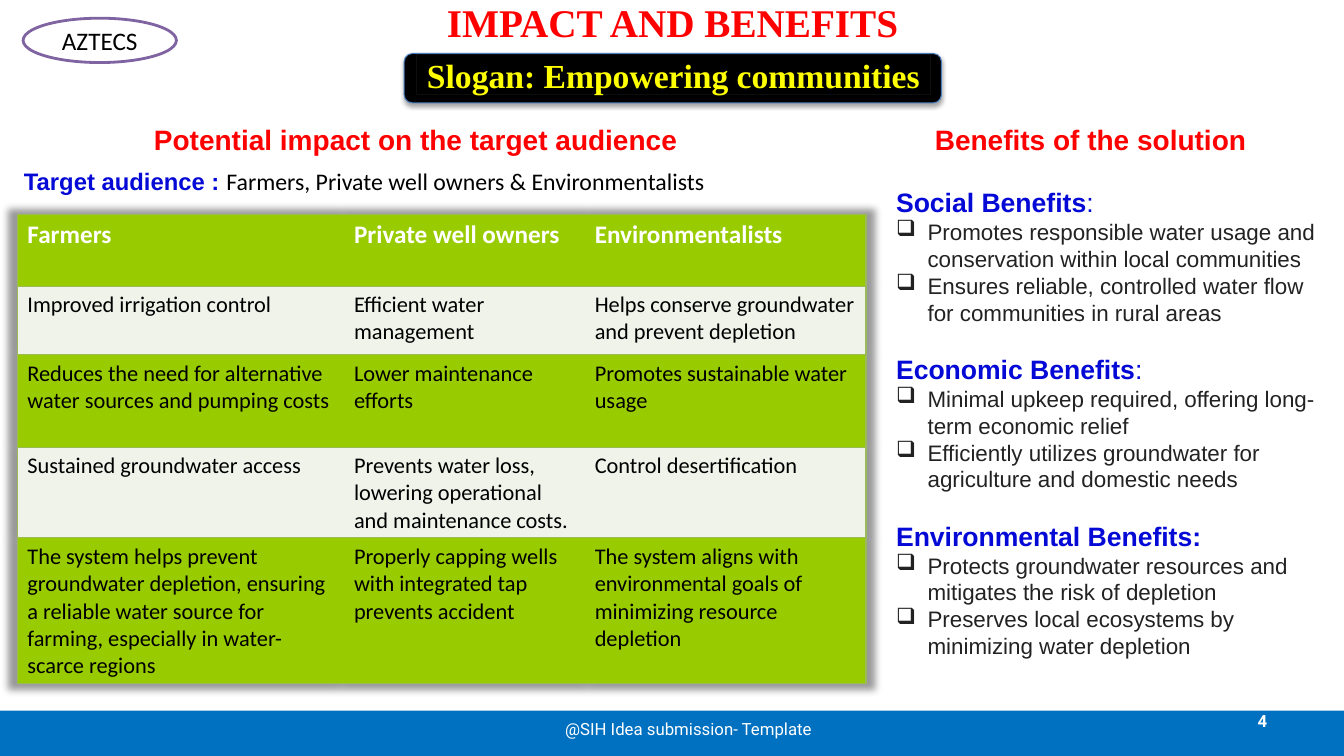
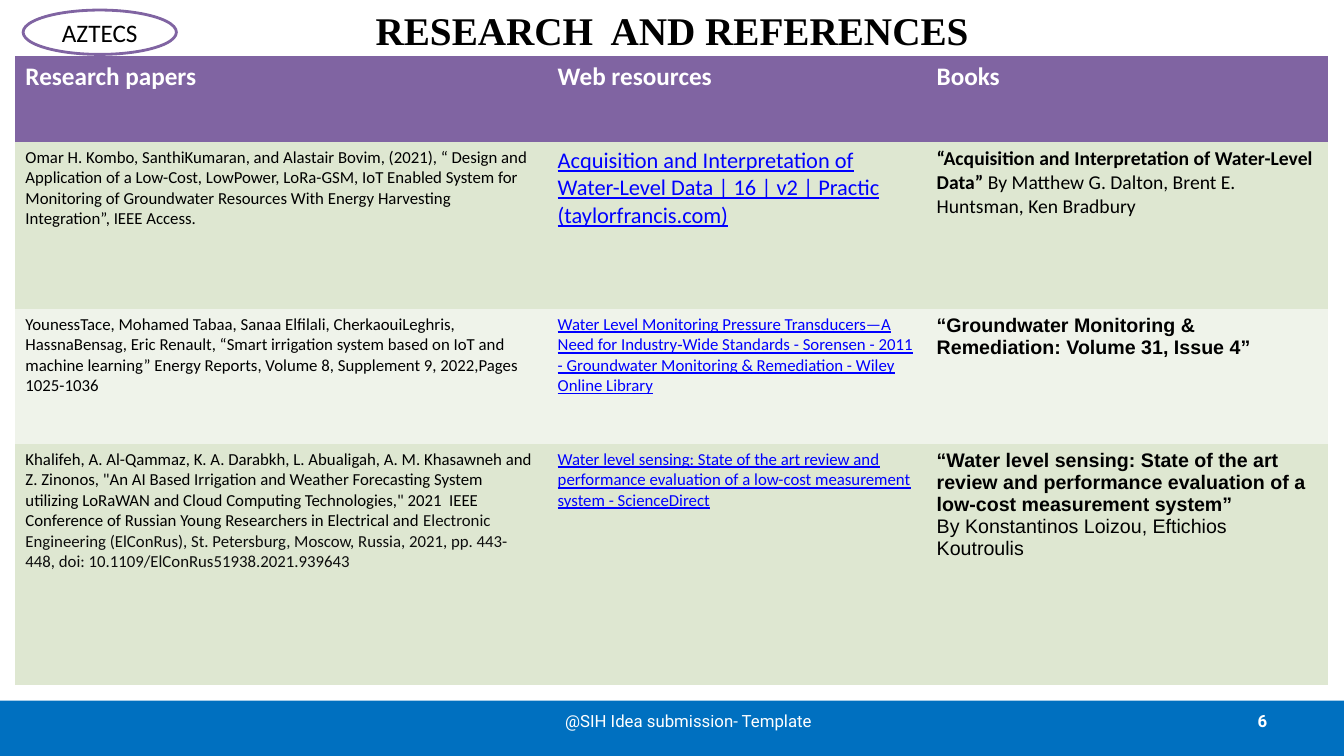
from lxml import etree
from pptx import Presentation
from pptx.dml.color import RGBColor
from pptx.enum import shapes, text
from pptx.oxml.ns import qn
from pptx.util import Pt

BLACK = RGBColor(0x00, 0x00, 0x00)
WHITE = RGBColor(0xFF, 0xFF, 0xFF)
RED = RGBColor(0xFF, 0x00, 0x00)
YELLOW = RGBColor(0xFF, 0xFF, 0x00)
BAND_BLUE = RGBColor(0x00, 0x70, 0xC0)
LABEL_BLUE = RGBColor(0x04, 0x09, 0xD6)
LINK_BLUE = RGBColor(0x00, 0x00, 0xFF)
EDGE_BLUE = RGBColor(0x4B, 0x7E, 0xBC)
PURPLE = RGBColor(0x80, 0x64, 0xA2)
LIME = RGBColor(0x99, 0xCC, 0x00)
GRID_GREEN = RGBColor(0x9B, 0xBB, 0x59)
SAGE = RGBColor(0xDE, 0xE7, 0xD1)
PALE = RGBColor(0xEF, 0xF3, 0xEA)
DARK = RGBColor(0x22, 0x22, 0x22)
INK = RGBColor(0x0D, 0x0D, 0x0D)
GREY = RGBColor(0x80, 0x80, 0x80)
NO_GRID_STYLE = "{2D5ABB26-0587-4C30-8999-92F81FD0307C}"
SLIDE_WIDTH = 960


def write(para, words, size, color, font="Calibri", bold=False, align=None):
    """Set the paragraph's font and add its first run."""
    para.alignment = align
    para.font.size = Pt(size)
    para.font.name = font
    para.font.bold = bold
    para.font.color.rgb = color
    span = para.add_run()
    span.text = words
    return span


def add_shadow(effects, color, blur, distance, opacity, scale=100):
    """Put an outer shadow, falling downwards, into an effect list."""
    shadow = etree.SubElement(
        effects, qn("a:outerShdw"), blurRad=str(Pt(blur)), dist=str(Pt(distance)),
        dir="5400000", sx=str(scale * 1000), sy=str(scale * 1000),
        algn="ctr", rotWithShape="0")
    tint = etree.SubElement(shadow, qn("a:srgbClr"), val=str(color))
    etree.SubElement(tint, qn("a:alpha"), val=str(opacity * 1000))


deck = Presentation()
deck.slide_width, deck.slide_height = Pt(SLIDE_WIDTH), Pt(540)
center, right = text.PP_ALIGN.CENTER, text.PP_ALIGN.RIGHT
middle = text.MSO_ANCHOR.MIDDLE

# Shared frame: title, footer band, footer text, page number, team badge
frames = [
    ("IMPACT AND BENEFITS", RED, (297.4, -4.3, 365.8, 40.3), "4", 507.6, 506.2, 13),
    ("RESEARCH  AND REFERENCES", BLACK, (48, -3.6, 864, 49.7), "6", 500.4, 500.4, 7.2),
]
pages = []
for title, color, place, number, band_top, footer_top, badge_top in frames:
    page = deck.slides.add_slide(deck.slide_layouts[5])
    pages.append(page)

    band = page.shapes.add_shape(shapes.MSO_SHAPE.RECTANGLE, 0, Pt(band_top),
                                 Pt(SLIDE_WIDTH), Pt(540 - band_top))
    band.shadow.inherit = False
    add_shadow(band._element.spPr.find(qn("a:effectLst")), GREY, 0, 1.8, 35)
    band.fill.solid()
    band.fill.fore_color.rgb = BAND_BLUE
    band.line.fill.background()

    heading = page.shapes.title
    heading.left, heading.top, heading.width, heading.height = map(Pt, place)
    heading.text_frame.auto_size = text.MSO_AUTO_SIZE.NONE
    heading.text_frame.vertical_anchor = middle
    write(heading.text_frame.paragraphs[0], title, 28, color,
          "Times New Roman", True, center)

    for words, left, top, width, bold, align in [
            (number, 688.3, 500.4, 224, True, right),
            ("@SIH Idea submission- Template", 365.8, footer_top, 252, False, center)]:
        box = page.shapes.add_textbox(Pt(left), Pt(top), Pt(width), Pt(28.8))
        box.text_frame.word_wrap = True
        box.text_frame.vertical_anchor = middle
        write(box.text_frame.paragraphs[0], words, 12, WHITE, "Roboto", bold, align)

    badge = page.shapes.add_shape(shapes.MSO_SHAPE.OVAL, Pt(16.5), Pt(badge_top),
                                  Pt(109.5), Pt(31.7))
    badge.shadow.inherit = False
    badge.fill.solid()
    badge.fill.fore_color.rgb = WHITE
    badge.line.color.rgb = PURPLE
    badge.line.width = Pt(2)
    badge.text_frame.word_wrap = False
    write(badge.text_frame.paragraphs[0], "AZTECS", 18, BLACK, align=center)

impact_page, reference_page = pages

# Slogan: rounded plate with a label on it
plate = impact_page.shapes.add_shape(shapes.MSO_SHAPE.ROUNDED_RECTANGLE,
                                     Pt(288.7), Pt(38.2), Pt(383.8), Pt(35.3))
slogan = impact_page.shapes.add_shape(shapes.MSO_SHAPE.RECTANGLE,
                                      Pt(297.4), Pt(38.9), Pt(367.2), Pt(28.8))
for shape, edge in [(plate, EDGE_BLUE), (slogan, INK)]:
    shape.shadow.inherit = False
    shape.fill.solid()
    shape.fill.fore_color.rgb = BLACK
    shape.line.color.rgb = edge
    shape.line.width = Pt(0.75)
add_shadow(plate._element.spPr.find(qn("a:effectLst")), BLACK, 3.1, 1.8, 35)
slogan.text_frame.margin_top = slogan.text_frame.margin_bottom = 0
slogan.text_frame.vertical_anchor = text.MSO_ANCHOR.TOP
slogan.text_frame.word_wrap = False
write(slogan.text_frame.paragraphs[0], "Slogan: Empowering communities", 24, YELLOW,
      "Times New Roman", True, center)

# Section headings and target audience
for words, left, width in [("Potential impact on the target audience", 101.5, 391),
                           ("Benefits of the solution", 611.3, 335.5)]:
    box = impact_page.shapes.add_textbox(Pt(left), Pt(84.2), Pt(width), Pt(31.7))
    box.text_frame.word_wrap = True
    write(box.text_frame.paragraphs[0], words, 20, RED, "Arial", True, center)

audience = impact_page.shapes.add_textbox(Pt(10), Pt(115.2), Pt(573), Pt(28))
audience.text_frame.word_wrap = True
para = audience.text_frame.paragraphs[0]
write(para, "Target audience : ", 17, LABEL_BLUE, "Arial", True)
span = para.add_run()
span.text = "Farmers, Private well owners & Environmentalists"
span.font.name, span.font.bold, span.font.color.rgb = "Calibri", False, BLACK

# Benefits, grouped under three labels
benefits = [
    ("Social Benefits", False, [
        "Promotes responsible water usage and conservation within local communities",
        "Ensures reliable, controlled water flow for communities in rural areas"]),
    ("Economic Benefits", False, [
        "Minimal upkeep required, offering long-term economic relief",
        "Efficiently utilizes groundwater for agriculture and domestic needs"]),
    ("Environmental Benefits", True, [
        "Protects groundwater resources and mitigates the risk of depletion",
        "Preserves local ecosystems by minimizing water depletion"]),
]
box = impact_page.shapes.add_textbox(Pt(633), Pt(129.6), Pt(321), Pt(347.8))
box.text_frame.word_wrap = True
para = box.text_frame.paragraphs[0]
for group, (label, bold_colon, points) in enumerate(benefits):
    if group:
        para = box.text_frame.add_paragraph()
        para.space_before = Pt(19.5)
    write(para, label, 19, LABEL_BLUE, "Arial", True)
    span = para.add_run()
    span.text = ":"
    span.font.bold = bold_colon
    for point in points:
        para = box.text_frame.add_paragraph()
        properties = para._p.get_or_add_pPr()
        properties.set("marL", str(Pt(22.5)))
        properties.set("indent", str(Pt(-22.5)))
        etree.SubElement(properties, qn("a:buChar"), char="❑")
        write(para, point, 16, DARK, "Arial")

# Tables: grid, row fills and header row
tables = []
for page, left, top, widths, heights, header_fill, fills, headers in [
        (impact_page, 12.4, 153.4, (233.3, 172, 201), (51, 49, 66, 63, 104),
         LIME, (PALE, LIME), ("Farmers", "Private well owners", "Environmentalists")),
        (reference_page, 11, 40.3, (380.2, 270.7, 286.6), (61.2, 119.5, 96.5, 172),
         PURPLE, (SAGE, PALE), ("Research papers", "Web resources", "Books"))]:
    table = page.shapes.add_table(len(heights), len(widths), Pt(left), Pt(top),
                                  Pt(sum(widths)), Pt(sum(heights))).table
    tables.append(table)
    table._tbl.tblPr.find(qn("a:tableStyleId")).text = NO_GRID_STYLE
    for column, width in zip(table.columns, widths):
        column.width = Pt(width)
    for index, height in enumerate(heights):
        table.rows[index].height = Pt(height)
        for cell in table.rows[index].cells:
            cell.fill.solid()
            cell.fill.fore_color.rgb = fills[(index - 1) % 2] if index else header_fill
    for cell, words in zip(table.rows[0].cells, headers):
        write(cell.text_frame.paragraphs[0], words, 18, WHITE, bold=True)
impact_table, reference_table = tables

# Impact table: body text, green rules and a soft shadow
impacts = [
    ("Improved irrigation control", "Efficient water management",
     "Helps conserve groundwater and prevent depletion"),
    ("Reduces the need for alternative water sources and pumping costs",
     "Lower maintenance efforts", "Promotes sustainable water usage"),
    ("Sustained groundwater access",
     "Prevents water loss, lowering operational and maintenance costs.",
     "Control desertification"),
    ("The system helps prevent groundwater depletion, ensuring a reliable water "
     "source for farming, especially in water-scarce regions",
     "Properly capping wells with integrated tap prevents accident",
     "The system aligns with environmental goals of minimizing resource depletion"),
]
for row, entries in enumerate(impacts, 1):
    for cell, words in zip(impact_table.rows[row].cells, entries):
        write(cell.text_frame.paragraphs[0], words, 16, BLACK)

for row in impact_table.rows:
    for cell, sides in zip(row.cells, [("lnL", "lnT", "lnB"), ("lnT", "lnB"),
                                       ("lnR", "lnT", "lnB")]):
        for position, side in enumerate(sides):
            rule = etree.Element(qn("a:" + side), w=str(Pt(1)))
            paint = etree.SubElement(rule, qn("a:solidFill"))
            etree.SubElement(paint, qn("a:srgbClr"), val=str(GRID_GREEN))
            cell._tc.get_or_add_tcPr().insert(position, rule)

effects = etree.Element(qn("a:effectLst"))
impact_table._tbl.tblPr.insert(0, effects)
add_shadow(effects, BLACK, 5, 0, 40, 102)

# Reference table: paper, web link, book
papers = [
    "Omar H. Kombo, SanthiKumaran, and Alastair Bovim, (2021), “ Design and Application "
    "of a Low-Cost, LowPower, LoRa-GSM, IoT Enabled System for Monitoring of Groundwater "
    "Resources With Energy Harvesting Integration”, IEEE Access.",
    "YounessTace, Mohamed Tabaa, Sanaa Elfilali, CherkaouiLeghris, HassnaBensag, Eric "
    "Renault, “Smart irrigation system based on IoT and machine learning” Energy Reports, "
    "Volume 8, Supplement 9, 2022,Pages 1025-1036",
    "Khalifeh, A. Al-Qammaz, K. A. Darabkh, L. Abualigah, A. M. Khasawneh and Z. Zinonos, "
    "\"An AI Based Irrigation and Weather Forecasting System utilizing LoRaWAN and Cloud "
    "Computing Technologies,\" 2021  IEEE Conference of Russian Young Researchers in "
    "Electrical and ",
]
links = [
    ("Acquisition and Interpretation of Water-Level Data | 16 | v2 | Practic "
     "(taylorfrancis.com)", 16),
    ("Water Level Monitoring Pressure Transducers—A Need for Industry‐Wide Standards - "
     "Sorensen - 2011 - Groundwater Monitoring & Remediation - Wiley Online Library", 12),
    ("Water level sensing: State of the art review and performance evaluation of a "
     "low-cost measurement system - ScienceDirect", 12),
]
books = [
    ("“Acquisition and Interpretation of Water-Level Data” ", "Calibri"),
    ("“Groundwater Monitoring & Remediation: Volume 31, Issue 4”", "Arial"),
    ("“Water level sensing: State of the art review and performance evaluation of a "
     "low-cost measurement system”", "Arial"),
]
for row, (paper, (link, size), (book, font)) in enumerate(zip(papers, links, books), 1):
    paper_para, link_para, book_para = [
        cell.text_frame.paragraphs[0] for cell in reference_table.rows[row].cells]
    write(paper_para, paper, 12, BLACK)
    write(link_para, link, size, LINK_BLUE)
    link_para.font.underline = True
    write(book_para, book, 14, BLACK, font, True)

span = reference_table.cell(3, 0).text_frame.paragraphs[0].add_run()
span.text = ("Electronic Engineering (ElConRus), St. Petersburg, Moscow, Russia, 2021, "
             "pp. 443-448, doi: 10.1109/ElConRus51938.2021.939643")
span.font.color.rgb = INK
span = reference_table.cell(1, 2).text_frame.paragraphs[0].add_run()
span.text = "By Matthew G. Dalton, Brent E. Huntsman, Ken Bradbury"
span.font.bold = False
write(reference_table.cell(3, 2).text_frame.add_paragraph(),
      "By Konstantinos Loizou, Eftichios Koutroulis", 14, BLACK, "Arial")

deck.save("out.pptx")
